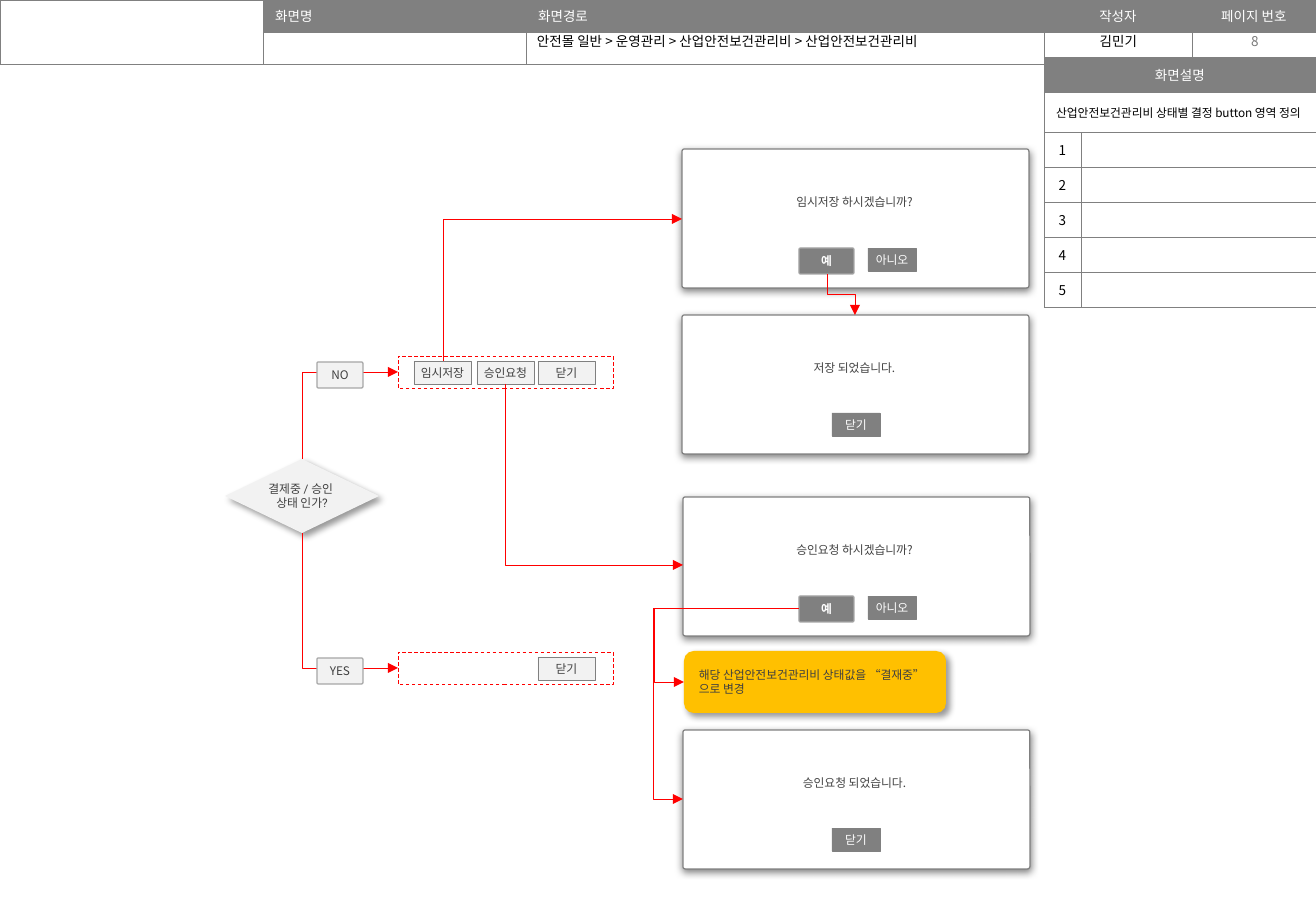
from dataclasses import dataclass

from lxml import etree
from pptx import Presentation
from pptx import util as u
from pptx.dml.color import RGBColor
from pptx.enum import dml, shapes, text
from pptx.oxml.ns import qn

PX = 7526  # EMU in one px
CENTER, LEFT = text.PP_ALIGN.CENTER, text.PP_ALIGN.LEFT
TOP, MIDDLE = text.MSO_ANCHOR.TOP, text.MSO_ANCHOR.MIDDLE
ROUND = shapes.MSO_SHAPE.ROUNDED_RECTANGLE


@dataclass(frozen=True)
class Theme:
    font: str = "Noto Sans CJK KR"
    flow_font: str = "Roboto"
    black: str = "000000"
    white: str = "FFFFFF"
    gray: str = "808080"
    edge: str = "A6A6A6"
    pale: str = "F2F2F2"
    ink: str = "404040"
    message: str = "434343"
    page: str = "797979"
    red: str = "FF0000"
    amber: str = "FFC000"
    normal: int = 8
    small: int = 7


THEME = Theme()
# Shadows: opacity %, blur pt, distance pt, direction in degrees
SOFT, DIALOG = (40, 4, 3, 45), (49, 4.5, 1.5, 90)


def add(parent, tag, **attrs):
    return etree.SubElement(parent, qn(tag), {k: str(v) for k, v in attrs.items()})


def write(tf, content, size=THEME.small, color=THEME.ink, font=THEME.font,
          bold=False, align=CENTER):
    """Fill a text frame, one paragraph for each line of content."""
    for i, line in enumerate(content.split("\n")):
        p = tf.paragraphs[0] if i == 0 else tf.add_paragraph()
        p.alignment = align
        if not line:
            add(p._p, "a:endParaRPr", sz=size * 100)
            continue
        r = p.add_run()
        r.text = line
        r.font.size, r.font.bold, r.font.name = u.Pt(size), bold, font
        r.font.color.rgb = RGBColor.from_string(color)
        add(r.font._element, "a:ea", typeface=THEME.font)


class Screen:
    def __init__(self, prs, theme):
        self.t = theme
        self.s = prs.slides.add_slide(prs.slide_layouts[6])

    def box(self, x, y, w, h, kind=ROUND, fill=None, line=None, weight=0.5,
            dash=False, rounding=0, shadow=None, content="", inset=0, **fmt):
        sp = self.s.shapes.add_shape(kind, x * PX, y * PX, w * PX, h * PX)
        sp.shadow.inherit = False
        if kind == ROUND:
            sp.adjustments[0] = rounding
        if fill:
            sp.fill.solid()
            sp.fill.fore_color.rgb = RGBColor.from_string(fill)
        else:
            sp.fill.background()
        if line:
            sp.line.color.rgb = RGBColor.from_string(line)
            sp.line.width = u.Pt(weight)
            if dash:
                sp.line.dash_style = dml.MSO_LINE.DASH
        else:
            sp.line.fill.background()
        if shadow:
            alpha, blur, dist, angle = shadow
            effects = sp._element.spPr.find(qn("a:effectLst"))
            outer = add(effects, "a:outerShdw", blurRad=u.Pt(blur), dist=u.Pt(dist),
                        dir=angle * 60000, algn="ctr", rotWithShape=0)
            add(add(outer, "a:srgbClr", val=self.t.black), "a:alpha", val=alpha * 1000)
        if content:
            tf = sp.text_frame
            tf.word_wrap, tf.vertical_anchor = True, MIDDLE
            tf.margin_left = tf.margin_right = inset * PX
            tf.margin_top = tf.margin_bottom = inset * PX
            write(tf, content, **fmt)

    def label(self, x, y, w, h, content, anchor=TOP, **fmt):
        tf = self.s.shapes.add_textbox(x * PX, y * PX, w * PX, h * PX).text_frame
        tf.word_wrap, tf.vertical_anchor = True, anchor
        write(tf, content, size=self.t.normal, **fmt)

    def table(self, x, y, cols, rows):
        frame = self.s.shapes.add_table(len(rows), len(cols), x * PX, y * PX,
                                        sum(cols) * PX, sum(rows) * PX)
        table = frame.table
        table.first_row = table.horz_banding = False
        for column, w in zip(table.columns, cols):
            column.width = w * PX
        for row, h in zip(table.rows, rows):
            row.height = h * PX
        return table

    def cell(self, cell, content="", fill=None, anchor=TOP, **fmt):
        cell.vertical_anchor = anchor
        write(cell.text_frame, content, **fmt)
        tc_pr = cell._tc.get_or_add_tcPr()
        for side in ("a:lnL", "a:lnR", "a:lnT", "a:lnB"):
            ln = add(tc_pr, side, w=u.Pt(0.25))
            add(add(ln, "a:solidFill"), "a:srgbClr", val=self.t.gray)
        if fill:
            cell.fill.solid()
            cell.fill.fore_color.rgb = RGBColor.from_string(fill)
        else:
            cell.fill.background()

    def arrow(self, x1, y1, x2, y2, preset="bentConnector2", bend=None, down=True):
        """Elbow arrow; with down, its first leg is vertical (a quarter turn)."""
        ends = x1, y1, x2, y2
        if down:
            cx, cy, dx, dy = (x1 + x2) / 2, (y1 + y2) / 2, x2 - x1, y2 - y1
            ends = cx - dy / 2, cy + dx / 2, cx + dy / 2, cy - dx / 2
        c = self.s.shapes.add_connector(shapes.MSO_CONNECTOR.ELBOW,
                                        *(int(v * PX) for v in ends))
        c.line.color.rgb = RGBColor.from_string(self.t.red)
        c.line.width = u.Pt(0.25)
        add(c.line._get_or_add_ln(), "a:tailEnd", type="triangle")
        sp_pr = c._element.spPr
        add(sp_pr, "a:effectLst")
        if down:
            sp_pr.find(qn("a:xfrm")).set("rot", "5400000")
        geometry = sp_pr.find(qn("a:prstGeom"))
        geometry.set("prst", preset)
        if bend:
            add(geometry.find(qn("a:avLst")), "a:gd", name="adj1",
                fmla=f"val {round(bend * 100000)}")

    def button(self, x, y, content, w=57, dark=False):
        self.box(x, y, w, 23, fill=self.t.gray if dark else self.t.pale,
                 line=self.t.gray, content=content,
                 color=self.t.white if dark else self.t.ink)

    def raised(self, x, y, w, content, **fmt):
        self.box(x, y, w, 26, line=self.t.edge, weight=0.75, rounding=0.058,
                 content=content, inset=12, **fmt)

    def dialog(self, x, y, message, confirm):
        self.box(x, y, 347, 139, fill=self.t.white, line=self.t.gray, weight=0.75,
                 rounding=0.017, shadow=DIALOG)
        self.box(702, y + 20, 305, 66, fill=self.t.white, rounding=0.017,
                 content=message, inset=11, color=self.t.message)
        if confirm:
            self.button(868, y + 99, "아니오", w=48, dark=True)
            self.raised(799, y + 99, 55, "예", fill=self.t.gray,
                        color=self.t.white, bold=True)
        else:
            self.button(832, y + 98, "닫기", w=48, dark=True)


def main():
    t = THEME
    prs = Presentation()
    prs.slide_width, prs.slide_height = 1316 * PX, 911 * PX
    s = Screen(prs, t)

    # Header band
    head = s.table(0, 0, [263, 263, 518, 148, 124], [32, 32])
    head.cell(0, 0).merge(head.cell(1, 0))
    titles = ["", "화면명", "화면경로", "작성자", "페이지 번호"]
    for i, title in enumerate(titles):
        s.cell(head.cell(0, i), title, fill=t.gray if title else None, size=t.normal,
               color=t.white, align=CENTER if i > 2 else LEFT)
        s.cell(head.cell(1, i), size=t.normal)
    s.label(1044, 27, 149, 29, "김민기", color=t.black)
    s.label(1194, 27, 122, 29, "8", anchor=MIDDLE, color=t.page)
    s.label(525, 27, 504, 29, "안전몰 일반 > 운영관리 > 산업안전보건관리비 > 산업안전보건관리비",
            color=t.black, align=LEFT)

    # Screen description
    notes = s.table(1044, 57, [37, 235], [35, 40] + [35] * 5)
    for row in range(7):
        if row < 2:
            notes.cell(row, 0).merge(notes.cell(row, 1))
        else:
            s.cell(notes.cell(row, 0), str(row - 1), t.white, MIDDLE,
                   size=t.normal, color=t.black)
        if row >= 2:
            s.cell(notes.cell(row, 1), fill=t.white)
    s.cell(notes.cell(0, 0), "화면설명", t.gray, MIDDLE, size=t.normal, color=t.white)
    s.cell(notes.cell(1, 0), "산업안전보건관리비 상태별 결정 button 영역 정의", t.white, MIDDLE,
           color=t.black, align=LEFT)

    # Decision and its two button areas
    s.box(225, 459, 154, 74, kind=shapes.MSO_SHAPE.DIAMOND, fill=t.pale, shadow=SOFT,
          content="결제중 / 승인 \n상태 인가?", font=t.flow_font)
    areas = [("NO", 356, 459, [(414, "임시저장"), (477, "승인요청"), (538, "닫기")]),
             ("YES", 652, 533, [(538, "닫기")])]
    for answer, y, start, buttons in areas:
        s.box(398, y, 215, 33, kind=shapes.MSO_SHAPE.RECTANGLE, line=t.red, dash=True)
        for x, name in buttons:
            s.button(x, y + 5, name)
        s.arrow(302, start, 398, y + 16)
        s.raised(317, y + 6, 46, answer, fill=t.pale)

    # Dialogs and status note
    for x, y, message, confirm in [(682, 149, "임시저장 하시겠습니까?", True),
                                   (682, 315, "저장 되었습니다.", False),
                                   (683, 497, "승인요청 하시겠습니까?", True),
                                   (683, 730, "승인요청 되었습니다.", False)]:
        s.dialog(x, y, message, confirm)
    s.box(684, 651, 262, 62, fill=t.amber, rounding=0.157, shadow=SOFT, inset=12,
          content="해당 산업안전보건관리비 상태값을 “결재중” 으로 변경",
          font=t.flow_font, align=LEFT)

    # Flow between buttons and dialogs
    s.arrow(443, 361, 682, 219)
    s.arrow(505, 384, 683, 565)
    s.arrow(827, 274, 855, 315, preset="bentConnector3", bend=0.5)
    for x, y in [(683, 799), (684, 682)]:
        s.arrow(799, 608, x, y, preset="bentConnector3", bend=1.26, down=False)

    prs.save("out.pptx")


if __name__ == "__main__":
    main()
